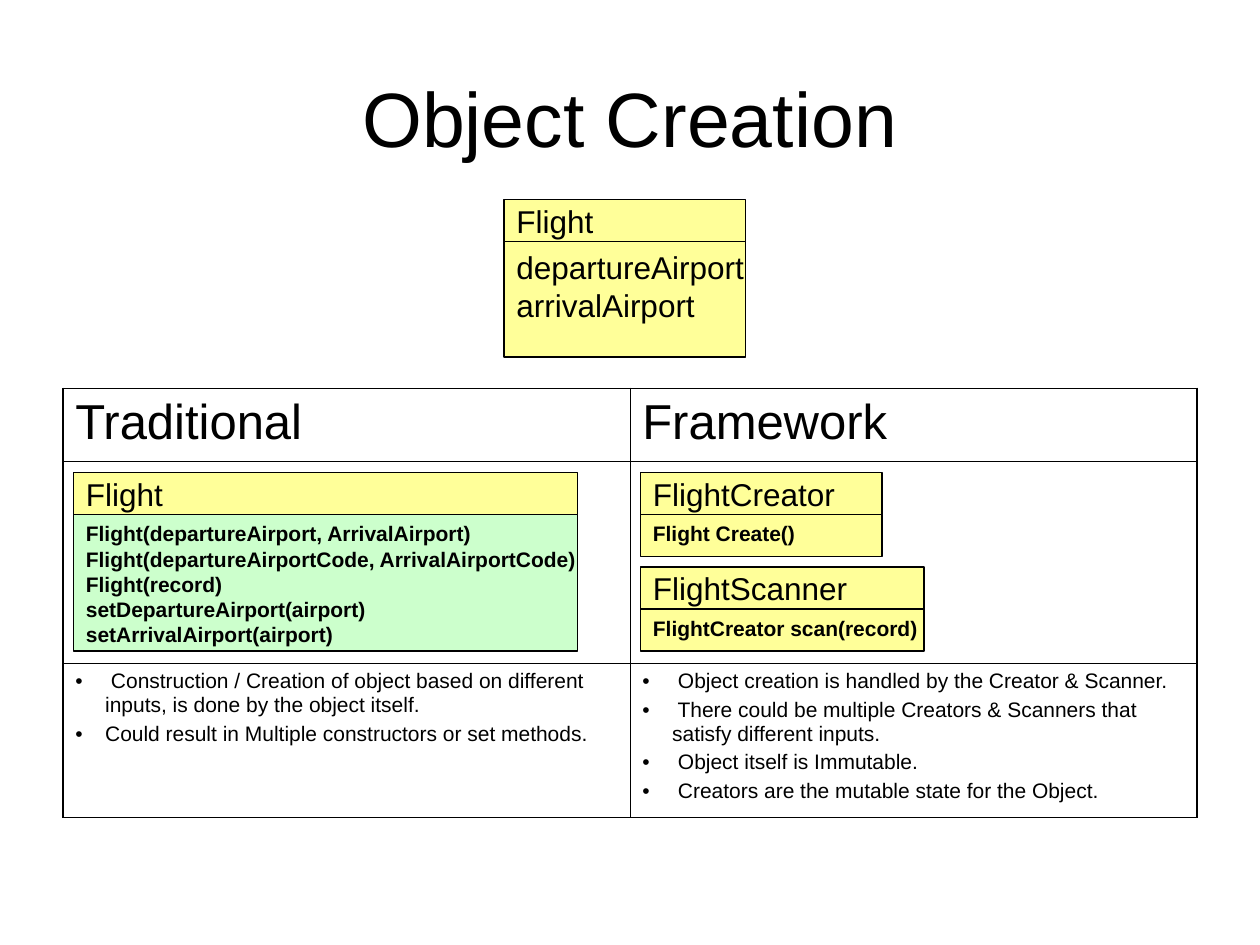
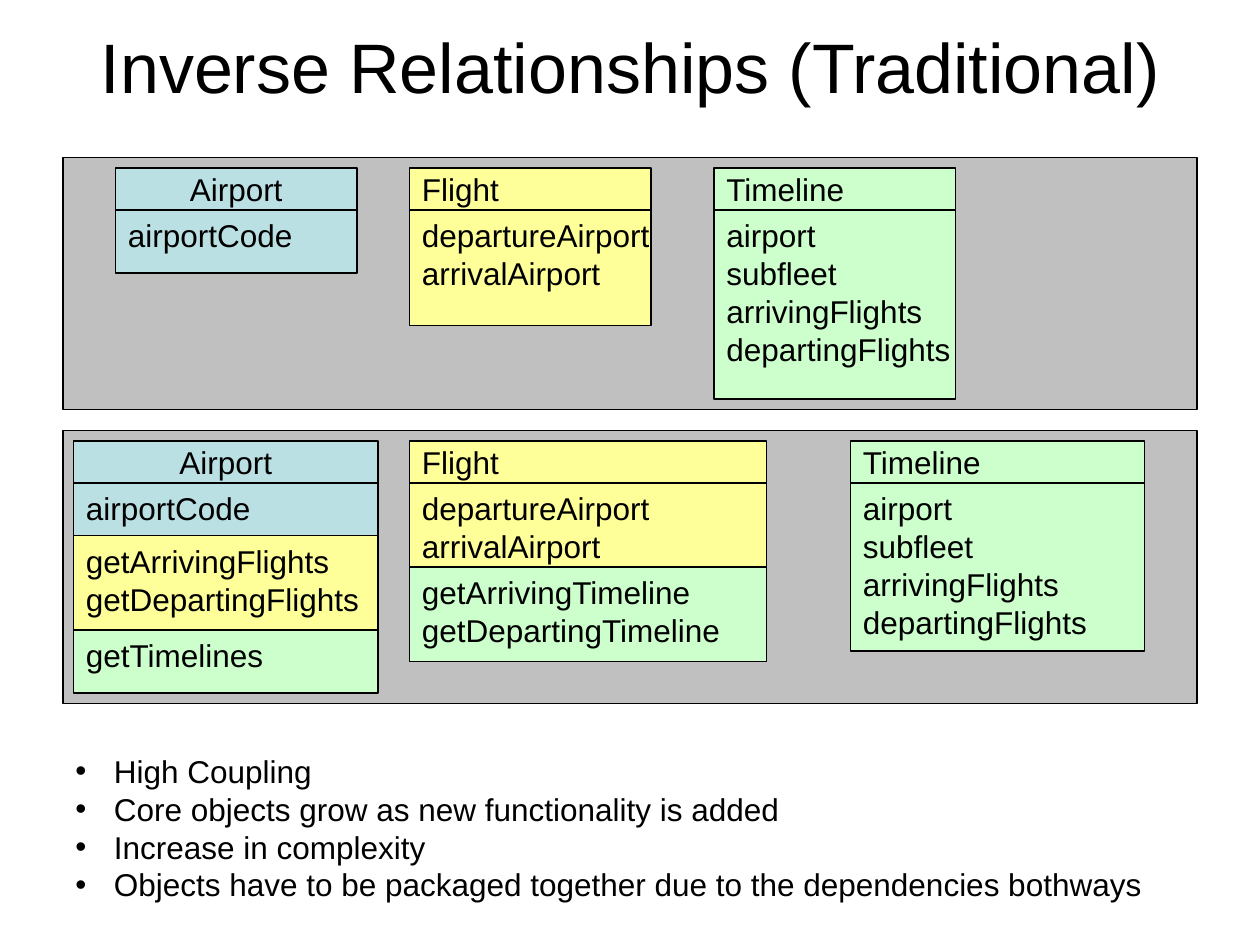
from lxml import etree
from pptx import Presentation
from pptx.dml.color import RGBColor
from pptx.enum import shapes, text
from pptx.oxml.ns import qn
from pptx.util import Cm, Pt

BLACK = RGBColor(0x00, 0x00, 0x00)
GREY = RGBColor(0xC0, 0xC0, 0xC0)
BLUE = RGBColor(0xBB, 0xE0, 0xE3)
YELLOW = RGBColor(0xFF, 0xFF, 0x99)
GREEN = RGBColor(0xCC, 0xFF, 0xCC)
FONT = "Arial"

STEP = Cm(2.54) // 12  # the layout grid: twelve steps to the inch
HEADER = 4  # height of a class header, in steps
INSET_X, INSET_Y = Cm(0.25), Cm(0.13)
BULLET_INDENT = Cm(0.6)


def write(tf, lines, size, bold=False, align=text.PP_ALIGN.LEFT, before=0,
          bullet=False):
    """Fill a text frame with one paragraph per line."""
    for i, line in enumerate(lines):
        p = tf.paragraphs[0] if i == 0 else tf.add_paragraph()
        p.alignment = align
        p.line_spacing = 1.0
        p.space_before = Pt(before)
        r = p.add_run()
        r.text = line
        r.font.name = FONT
        r.font.size = Pt(size)
        r.font.bold = bold
        r.font.color.rgb = BLACK
        if bullet:
            pPr = p._p.get_or_add_pPr()
            pPr.set("marL", str(BULLET_INDENT))
            pPr.set("indent", str(-BULLET_INDENT))
            etree.SubElement(pPr, qn("a:buFont"), typeface=FONT)
            etree.SubElement(pPr, qn("a:buChar"), char="•")


def add_box(s, left, top, width, height, fill):
    """Add an outlined rectangle placed in grid steps; return its text frame."""
    sp = s.shapes.add_shape(shapes.MSO_SHAPE.RECTANGLE, left * STEP, top * STEP,
                            width * STEP, height * STEP)
    sp.shadow.inherit = False
    sp.fill.solid()
    sp.fill.fore_color.rgb = fill
    sp.line.color.rgb = BLACK
    sp.line.width = Pt(0.75)
    tf = sp.text_frame
    tf.word_wrap = False
    tf.margin_left = tf.margin_right = INSET_X
    tf.margin_top = tf.margin_bottom = INSET_Y
    tf.vertical_anchor = text.MSO_ANCHOR.TOP
    return tf


prs = Presentation()
prs.slide_width, prs.slide_height = Cm(25.4), Cm(19.05)
creation = prs.slides.add_slide(prs.slide_layouts[5])
inverse = prs.slides.add_slide(prs.slide_layouts[1])

# Titles
for s, title, size, height in [
    (creation, "Object Creation", 44, Cm(3.18)),
    (inverse, "Inverse Relationships (Traditional)", 40, Cm(1.14)),
]:
    sp = s.shapes.title
    sp.left, sp.top, sp.width, sp.height = Cm(1.27), Cm(0.76), Cm(22.86), height
    tf = sp.text_frame
    tf.auto_size = text.MSO_AUTO_SIZE.NONE
    tf.vertical_anchor = text.MSO_ANCHOR.MIDDLE
    write(tf, [title], size, align=text.PP_ALIGN.CENTER)

# Comparison table
headings = ["Traditional", "Framework"]
remarks = [
    [" Construction / Creation of object based on different inputs, "
     "is done by the object itself.",
     "Could result in Multiple constructors or set methods."],
    [" Object creation is handled by the Creator & Scanner.",
     " There could be multiple Creators & Scanners that satisfy different inputs.",
     " Object itself is Immutable.",
     " Creators are the mutable state for the Object."],
]
row_heights = [Cm(1.47), Cm(4.07), Cm(3.11)]
table = creation.shapes.add_table(3, 2, 6 * STEP, 37 * STEP, 108 * STEP,
                                  sum(row_heights)).table
table.first_row = table.horz_banding = False
for row, height in zip(table.rows, row_heights):
    row.height = height
for c in range(2):
    write(table.cell(0, c).text_frame, [headings[c]], 28, before=7)
    write(table.cell(2, c).text_frame, remarks[c], 12, before=3, bullet=True)
    for r in range(3):
        cell = table.cell(r, c)
        cell.fill.background()
        cell.margin_left = cell.margin_right = INSET_X
        cell.margin_top = cell.margin_bottom = INSET_Y
        outer_sides = [("a:lnL", c == 0), ("a:lnR", c == 1),
                       ("a:lnT", r == 0), ("a:lnB", r == 2)]
        tcPr = cell._tc.get_or_add_tcPr()
        for i, (tag, outer) in enumerate(outer_sides):
            ln = etree.Element(qn(tag), w=str(Pt(1.08 if outer else 0.45)))
            fill = etree.SubElement(ln, qn("a:solidFill"))
            etree.SubElement(fill, qn("a:srgbClr"), val=str(BLACK))
            tcPr.insert(i, ln)

# Panels behind the two sets of classes
for top, height in [(15, 24), (41, 26)]:
    add_box(inverse, 6, top, 108, height, GREY)

# Classes: slide, left, top, width, name, header fill, member size,
# then sections of (fill, height, members)
airports = ["departureAirport", "arrivalAirport"]
timeline = ["airport", "subfleet", "arrivingFlights", "departingFlights"]
classes = [
    (creation, 48, 19, 23, "Flight", YELLOW, 18, [(YELLOW, 11, airports)]),
    (creation, 7, 45, 48, "Flight", YELLOW, 12, [
        (GREEN, 13, ["Flight(departureAirport, ArrivalAirport)",
                     "Flight(departureAirportCode, ArrivalAirportCode)",
                     "Flight(record)",
                     "setDepartureAirport(airport)",
                     "setArrivalAirport(airport)"])]),
    (creation, 61, 45, 23, "FlightCreator", YELLOW, 12,
     [(YELLOW, 4, ["Flight Create()"])]),
    (creation, 61, 54, 27, "FlightScanner", YELLOW, 12,
     [(YELLOW, 4, ["FlightCreator scan(record)"])]),
    (inverse, 11, 16, 23, "Airport", BLUE, 18, [(BLUE, 6, ["airportCode"])]),
    (inverse, 39, 16, 23, "Flight", YELLOW, 18, [(YELLOW, 11, airports)]),
    (inverse, 68, 16, 23, "Timeline", GREEN, 18, [(GREEN, 18, timeline)]),
    (inverse, 7, 42, 29, "Airport", BLUE, 18, [
        (BLUE, 5, ["airportCode"]),
        (YELLOW, 9, ["getArrivingFlights", "getDepartingFlights"]),
        (GREEN, 6, ["getTimelines"])]),
    (inverse, 39, 42, 34, "Flight", YELLOW, 18, [
        (YELLOW, 8, airports),
        (GREEN, 9, ["getArrivingTimeline", "getDepartingTimeline"])]),
    (inverse, 81, 42, 28, "Timeline", GREEN, 18, [(GREEN, 16, timeline)]),
]
for s, left, top, width, name, fill, size, sections in classes:
    tf = add_box(s, left, top, width, HEADER, fill)
    tf.vertical_anchor = text.MSO_ANCHOR.MIDDLE
    centred = name == "Airport"
    write(tf, [name], 18,
          align=text.PP_ALIGN.CENTER if centred else text.PP_ALIGN.LEFT)
    top += HEADER
    for fill, height, members in sections:
        tf = add_box(s, left, top, width, height, fill)
        write(tf, members, size, bold=size == 12)
        top += height

# Drawbacks of the traditional design
sp = inverse.placeholders[1]
sp.left, sp.top, sp.width, sp.height = 6 * STEP, 71 * STEP, 109 * STEP, Cm(3.3)
tf = sp.text_frame
tf.auto_size = text.MSO_AUTO_SIZE.NONE
tf.word_wrap = True
tf.margin_left = tf.margin_right = INSET_X
tf.margin_top = tf.margin_bottom = INSET_Y
write(tf, [" High Coupling",
           " Core objects grow as new functionality is added",
           " Increase in complexity",
           " Objects have to be packaged together due to the dependencies bothways"],
      18, bullet=True)

prs.save("out.pptx")
